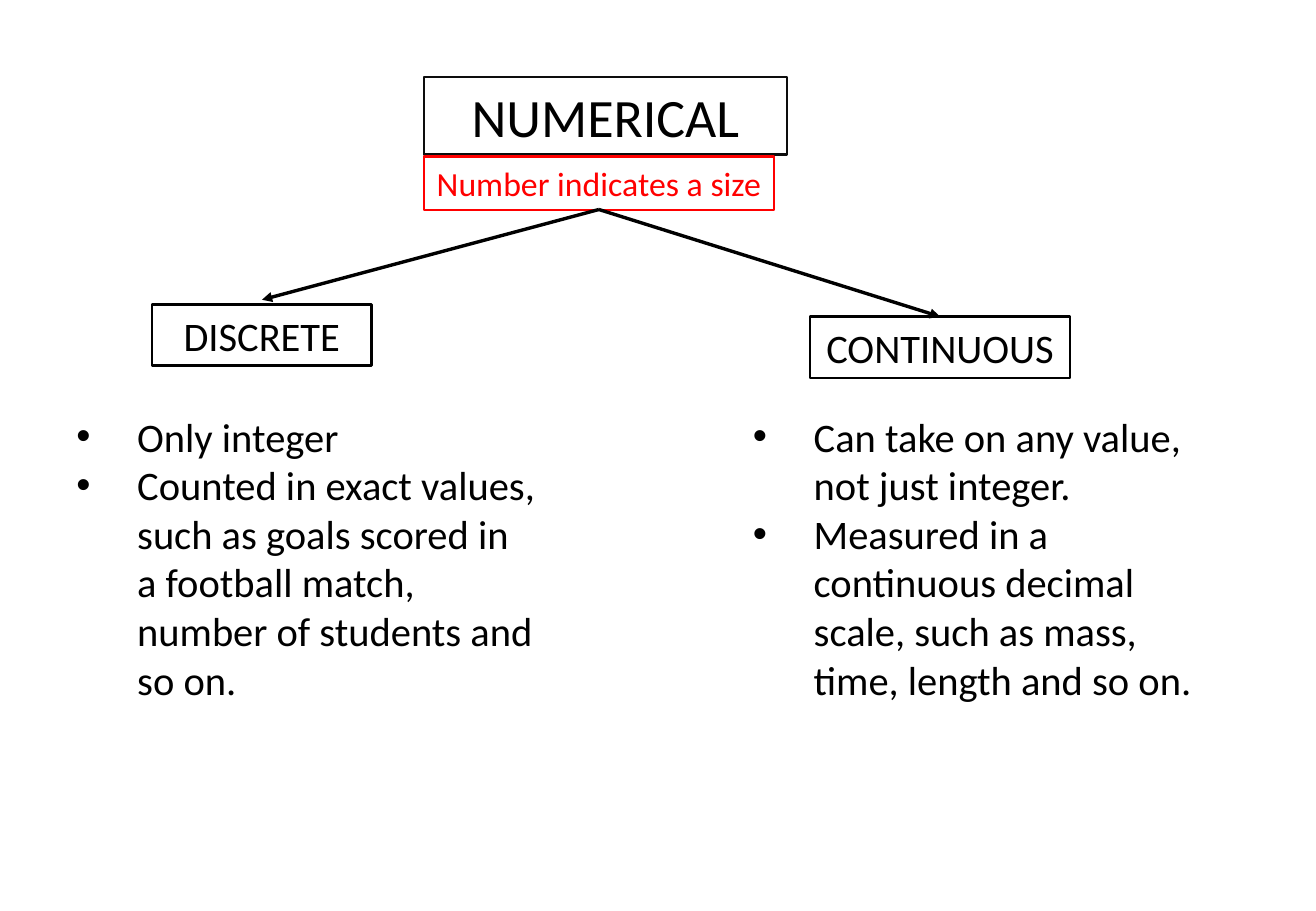
from dataclasses import dataclass

from lxml import etree
from pptx import Presentation
from pptx.dml.color import RGBColor
from pptx.enum import shapes, text
from pptx.oxml import ns
from pptx.util import Pt


@dataclass(frozen=True)
class Theme:
    font: str = "Calibri"
    ink: RGBColor = RGBColor(0, 0, 0)
    title_border: RGBColor = RGBColor(0x0D, 0x0D, 0x0D)
    accent: RGBColor = RGBColor(0xFF, 0, 0)
    title_size: float = 32
    body_size: float = 24
    note_size: float = 20
    border: float = 1.5
    arrow: float = 2


@dataclass(frozen=True)
class Label:
    words: str
    left: float
    top: float
    width: float
    height: float
    size: float
    color: RGBColor
    border: RGBColor


@dataclass(frozen=True)
class Branch:
    label: Label
    arrow_tip: tuple[float, float]
    list_left: float
    points: tuple[str, ...]


THEME = Theme()
LIST_TOP, LIST_WIDTH, LIST_HEIGHT = 240.5, 286, 181.5
LIST_INDENT = 36
ARROW_START = (355, 124.2)

TITLE = Label("NUMERICAL", 251.3, 45.6, 215.3, 46,
              THEME.title_size, THEME.ink, THEME.title_border)
NOTE = Label("Number indicates a size", 251.3, 92.9, 207.4, 31.5,
             THEME.note_size, THEME.accent, THEME.accent)
BRANCHES = (
    Branch(
        Label("DISCRETE", 90, 180.4, 130.4, 36.3,
              THEME.body_size, THEME.ink, THEME.ink),
        (155.3, 177.7), 38.2,
        ("Only integer",
         "Counted in exact values, such as goals scored in a football match, "
         "number of students and so on."),
    ),
    Branch(
        Label("CONTINUOUS", 480.2, 187.7, 154, 36.3,
              THEME.body_size, THEME.ink, THEME.ink),
        (557.2, 187.7), 439.2,
        ("Can take on any value, not just integer.",
         "Measured in a continuous decimal scale, such as mass, time, "
         "length and so on."),
    ),
)


def add_run(paragraph, words: str, size: float, color: RGBColor) -> None:
    run = paragraph.add_run()
    run.text = words
    run.font.name = THEME.font
    run.font.size = Pt(size)
    run.font.color.rgb = color


def format_label(shape, label: Label) -> None:
    shape.left, shape.top = Pt(label.left), Pt(label.top)
    shape.width, shape.height = Pt(label.width), Pt(label.height)
    shape.fill.background()
    shape.line.color.rgb = label.border
    shape.line.width = Pt(THEME.border)
    frame = shape.text_frame
    frame.word_wrap = False
    frame.auto_size = text.MSO_AUTO_SIZE.NONE
    frame.vertical_anchor = text.MSO_ANCHOR.MIDDLE
    paragraph = frame.paragraphs[0]
    paragraph.alignment = text.PP_ALIGN.CENTER
    add_run(paragraph, label.words, label.size, label.color)


def add_label(slide, label: Label) -> None:
    shape = slide.shapes.add_shape(shapes.MSO_SHAPE.RECTANGLE, 0, 0, 0, 0)
    shape.shadow.inherit = False
    format_label(shape, label)


def add_arrow(slide, start: tuple[float, float], tip: tuple[float, float]) -> None:
    connector = slide.shapes.add_connector(
        shapes.MSO_CONNECTOR.STRAIGHT, *map(Pt, start + tip))
    connector.line.color.rgb = THEME.ink
    connector.line.width = Pt(THEME.arrow)
    line = connector.line._get_or_add_ln()
    etree.SubElement(line, ns.qn("a:tailEnd"), type="triangle")
    etree.SubElement(connector._element.spPr, ns.qn("a:effectLst"))


def add_list(slide, left: float, points: tuple[str, ...]) -> None:
    box = slide.shapes.add_textbox(
        Pt(left), Pt(LIST_TOP), Pt(LIST_WIDTH), Pt(LIST_HEIGHT))
    frame = box.text_frame
    frame.word_wrap = True
    for index, point in enumerate(points):
        paragraph = frame.add_paragraph() if index else frame.paragraphs[0]
        properties = paragraph._p.get_or_add_pPr()
        properties.set("marL", str(Pt(LIST_INDENT)))
        properties.set("indent", str(-Pt(LIST_INDENT)))
        etree.SubElement(properties, ns.qn("a:buFont"), typeface="Arial")
        etree.SubElement(properties, ns.qn("a:buChar"), char="•")
        add_run(paragraph, point, THEME.body_size, THEME.ink)


def main() -> None:
    presentation = Presentation()
    presentation.slide_width, presentation.slide_height = Pt(780), Pt(540)
    slide = presentation.slides.add_slide(presentation.slide_layouts[5])

    # Heading and its note
    format_label(slide.shapes.title, TITLE)
    add_label(slide, NOTE)

    # The two kinds of numerical data
    for branch in BRANCHES:
        add_label(slide, branch.label)
        add_arrow(slide, ARROW_START, branch.arrow_tip)
        add_list(slide, branch.list_left, branch.points)

    presentation.save("out.pptx")


if __name__ == "__main__":
    main()
